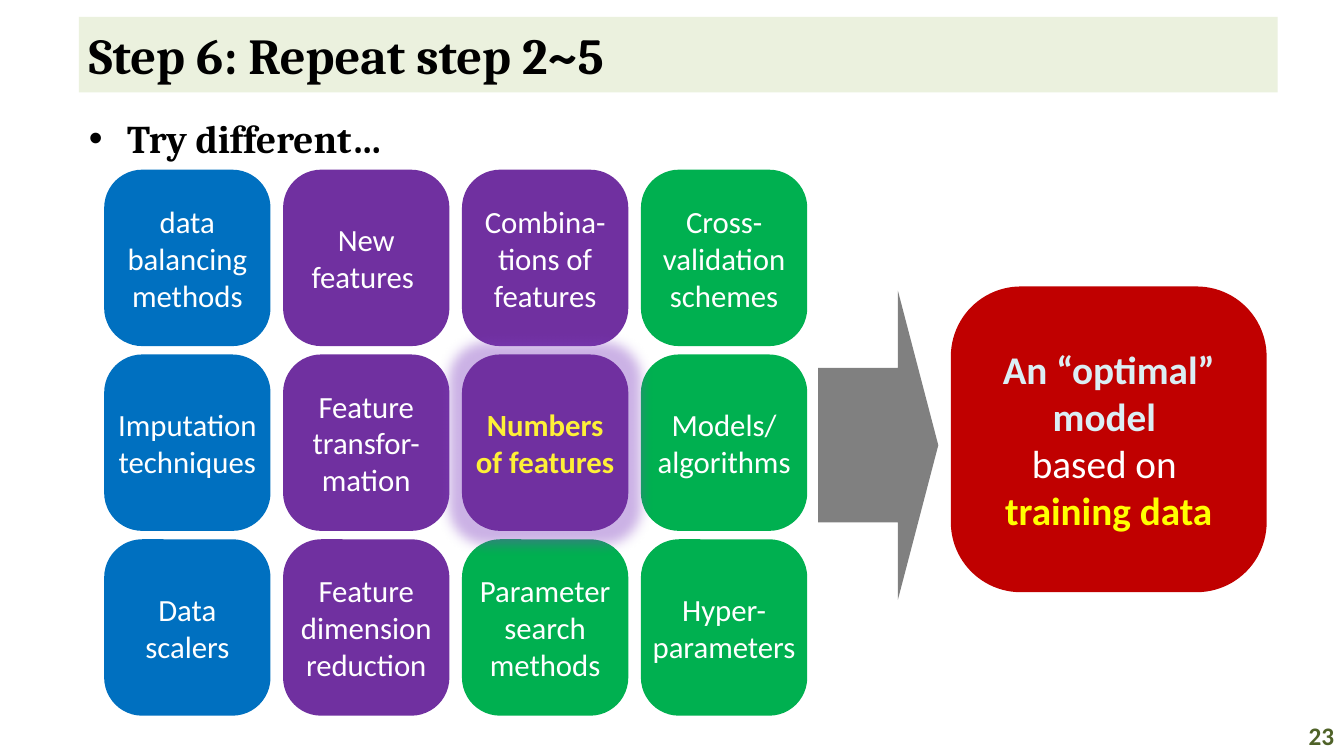
from lxml import etree
from pptx import Presentation, util as u
from pptx.dml.color import RGBColor
from pptx.enum import shapes, text
from pptx.oxml.ns import qn

# The slide is a grid of 160 columns by 90 rows
COLS, ROWS = 160, 90
KIND = shapes.MSO_SHAPE
ALIGN = text.PP_ALIGN
BLUE, PURPLE, GREEN, WHITE = "0070C0", "7030A0", "00B050", "FFFFFF"


def rgb(code):
    return RGBColor.from_string(code)


class Deck:
    head, body = "Cambria", "Calibri"
    curve = 0.229

    def __init__(self):
        self.prs = Presentation()
        self.prs.slide_width = u.Inches(13.333)
        self.prs.slide_height = u.Inches(7.5)
        self.slide = self.prs.slides.add_slide(self.prs.slide_layouts[6])

    def place(self, x, y, w, h):
        dx = self.prs.slide_width / COLS
        dy = self.prs.slide_height / ROWS
        return [round(n) for n in (x * dx, y * dy, w * dx, h * dy)]

    def fill_text(self, shape, lines, size, face, align=ALIGN.LEFT,
                  middle=True):
        """Each line is (words, colour, bold)."""
        frame = shape.text_frame
        frame.word_wrap = True
        frame.vertical_anchor = (text.MSO_ANCHOR.MIDDLE if middle
                                 else text.MSO_ANCHOR.TOP)
        for i, (words, color, bold) in enumerate(lines):
            para = frame.add_paragraph() if i else frame.paragraphs[0]
            para.text = words
            para.alignment = align
            font = para.font
            font.name, font.size, font.bold = face, u.Pt(size), bold
            font.color.rgb = rgb(color)

    def shape(self, kind, spot, fill):
        item = self.slide.shapes.add_shape(kind, *self.place(*spot))
        item.shadow.inherit = False
        item.fill.solid()
        item.fill.fore_color.rgb = rgb(fill)
        item.line.fill.background()
        return item

    def title(self, words, spot, fill):
        bar = self.shape(KIND.RECTANGLE, spot, fill)
        self.fill_text(bar, [(words, "000000", True)], 36, self.head)

    def number(self, words, spot):
        box = self.slide.shapes.add_textbox(*self.place(*spot))
        self.fill_text(box, [(words, "4F6228", True)], 18, self.body,
                       ALIGN.RIGHT)

    def bullet(self, words, spot):
        box = self.slide.shapes.add_textbox(*self.place(*spot))
        props = box.text_frame.paragraphs[0]._p.get_or_add_pPr()
        props.set("marL", str(u.Inches(0.38)))
        props.set("indent", str(-u.Inches(0.38)))
        etree.SubElement(props, qn("a:buFont"), typeface="Arial")
        etree.SubElement(props, qn("a:buChar"), char="•")
        self.fill_text(box, [(words, "000000", True)], 28, self.head,
                       middle=False)

    def card(self, spot, fill, lines, size=22):
        item = self.shape(KIND.ROUNDED_RECTANGLE, spot, fill)
        item.adjustments[0] = self.curve
        item.text_frame.margin_left = item.text_frame.margin_right = 0
        self.fill_text(item, lines, size, self.body, ALIGN.CENTER)
        return item

    def glow(self, item, color, points, alpha):
        effects = item._element.spPr.find(qn("a:effectLst"))
        halo = etree.SubElement(effects, qn("a:glow"), rad=str(u.Pt(points)))
        tint = etree.SubElement(halo, qn("a:srgbClr"), val=color)
        etree.SubElement(tint, qn("a:alpha"), val=str(alpha * 1000))

    def arrow(self, spot, fill):
        item = self.shape(KIND.RIGHT_ARROW, spot, fill)
        item.adjustments[0], item.adjustments[1] = 0.5, 0.336


def cell(col, row):
    return 12.4 + 21.3 * col, 20.2 + 22 * row, 19.8, 21


def main():
    deck = Deck()

    # Heading, bullet and page number
    deck.title("Step 6: Repeat step 2~5", (9.4, 2, 142.7, 9), "EBF1DE")
    deck.bullet("Try different…", (9.4, 13, 142.7, 69))
    deck.number("23", (152, 85.2, 8, 4.8))

    # Options to vary, row by row
    options = [
        [("data balancing methods", BLUE), ("New features ", PURPLE),
         ("Combina-tions of features", PURPLE),
         ("Cross-validation schemes", GREEN)],
        [("Imputation techniques", BLUE),
         ("Feature transfor-mation", PURPLE), None,
         ("Models/\nalgorithms", GREEN)],
        [("Data scalers", BLUE), ("Feature dimension reduction", PURPLE),
         ("Parameter search methods", GREEN), ("Hyper-parameters", GREEN)],
    ]
    for row, line in enumerate(options):
        for col, option in enumerate(line):
            if option:
                words, fill = option
                parts = [(part, WHITE, False) for part in words.split("\n")]
                deck.card(cell(col, row), fill, parts)

    # Highlighted option, above its neighbours
    focus = deck.card(cell(2, 1), PURPLE,
                      [("Numbers of features", "FEF037", True)])
    deck.glow(focus, "7F3FC0", 18, 40)

    # Outcome
    deck.arrow((97.4, 34.6, 14.3, 36.8), "808080")
    deck.card((113.2, 34.1, 37.6, 36.4), "C00000",
              [("An “optimal” model ", "DBEEF4", True),
               ("based on ", WHITE, False),
               ("training data", "FFFF00", True)], 28)

    deck.prs.save("out.pptx")


if __name__ == "__main__":
    main()
